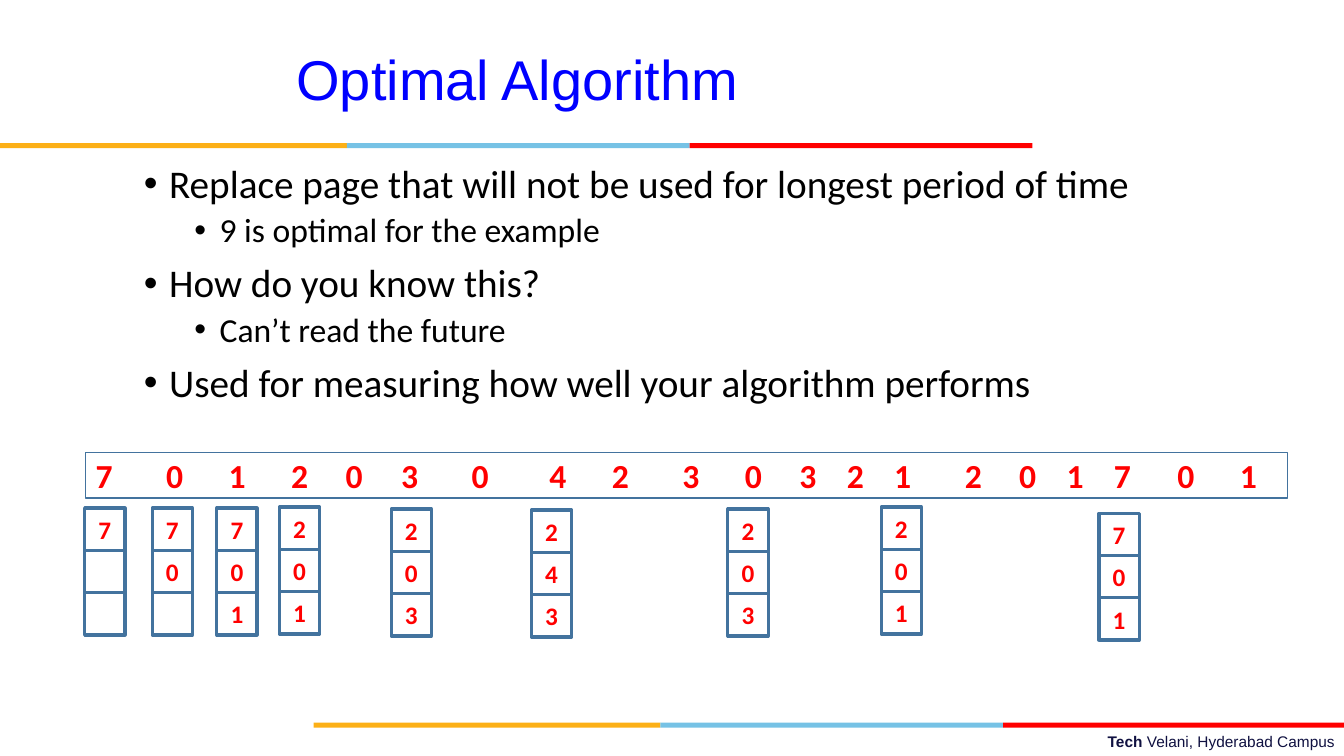
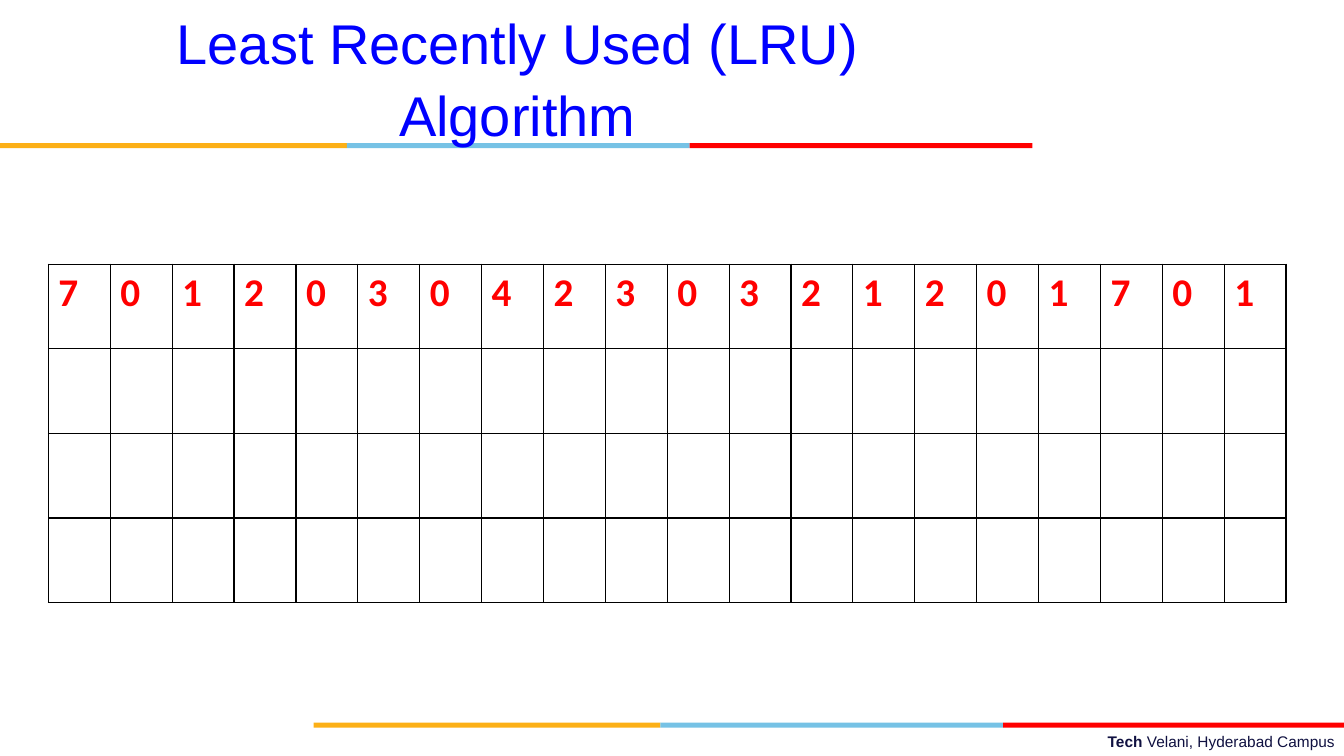
from dataclasses import dataclass

from lxml import etree
from pptx import Presentation
from pptx.dml.color import RGBColor
from pptx.enum.shapes import MSO_SHAPE
from pptx.enum.text import MSO_ANCHOR, PP_ALIGN
from pptx.oxml.ns import qn
from pptx.util import Inches, Pt

RECTANGLE = MSO_SHAPE.RECTANGLE
LEFT, CENTER, RIGHT = PP_ALIGN.LEFT, PP_ALIGN.CENTER, PP_ALIGN.RIGHT
TOP, MIDDLE = MSO_ANCHOR.TOP, MSO_ANCHOR.MIDDLE


@dataclass(frozen=True)
class Theme:
    """Colours, fonts and type sizes shared by the slides."""
    gold: str = "FCB017"
    sky: str = "76C2E5"
    red: str = "FF0000"
    title: str = "0000FF"
    footer: str = "101141"
    text: str = "000000"
    outline: str = "43739E"
    heading_font: str = "Arial"
    body_font: str = "Calibri"
    title_size: int = 40
    bullet_size: int = 28
    sub_bullet_size: int = 24
    reference_size: int = 24
    frame_size: int = 18
    table_size: int = 28
    footer_size: int = 11


THEME = Theme()
TITLE_BOX = (0.48, 0.03, 9.3, 1.45)
FOOTER_BOX = (4.78, 7.21, 8.56, 0.29)
BAND_WIDTHS = (3.44, 3.4, 3.4)
BAND_HEIGHT = 0.05
BAND_ORIGINS = ((0, 1.42), (3.11, 7.17))

PAGES = "70120304230321201701"
PAGE_STOPS = (0.7, 1.32, 1.94, 2.48, 3.03, 3.73, 4.5, 5.12, 5.82, 6.44,
              6.98, 7.45, 7.92, 8.62, 9.16, 9.63, 10.1, 10.73, 11.35)
BULLETS = (
    (0, "Replace page that will not be used for longest period of time"),
    (1, "9 is optimal for the example"),
    (0, "How do you know this?"),
    (1, "Can’t read the future"),
    (0, "Used for measuring how well your algorithm performs"),
)
FRAME_STATES = (
    (0.84, 5.04, ("7", "", "")),
    (1.51, 5.04, ("7", "0", "")),
    (2.15, 5.04, ("7", "0", "1")),
    (2.77, 5.03, ("2", "0", "1")),
    (3.88, 5.05, ("2", "0", "3")),
    (5.27, 5.06, ("2", "4", "3")),
    (7.22, 5.05, ("2", "0", "3")),
    (8.74, 5.03, ("2", "0", "1")),
    (10.9, 5.09, ("7", "0", "1")),
)
FRAME_WIDTH, FRAME_HEIGHT = 0.4, 0.42


def inches(box):
    """Turn a box of numbers into lengths."""
    return [Inches(value) for value in box]


def style(paragraph, size, color, font=THEME.body_font, bold=False, align=LEFT):
    """Format a paragraph and all its runs."""
    paragraph.alignment = align
    for run in paragraph.runs:
        run.font.size = Pt(size)
        run.font.name = font
        run.font.bold = bold
        run.font.color.rgb = RGBColor.from_string(color)


def add_text_frame(slide, box, anchor=TOP):
    """Add a wrapping text box and return its text frame."""
    frame = slide.shapes.add_textbox(*inches(box)).text_frame
    frame.word_wrap = True
    frame.vertical_anchor = anchor
    return frame


def add_rectangle(shapes, box, fill=None, line_width=None):
    """Add a plain rectangle, filled or outlined."""
    rectangle = shapes.add_shape(RECTANGLE, *inches(box))
    rectangle.shadow.inherit = False
    if fill:
        rectangle.fill.solid()
        rectangle.fill.fore_color.rgb = RGBColor.from_string(fill)
    else:
        rectangle.fill.background()
    if line_width:
        rectangle.line.color.rgb = RGBColor.from_string(THEME.outline)
        rectangle.line.width = Pt(line_width)
    else:
        rectangle.line.fill.background()
    return rectangle


def add_band(slide, left, top):
    """Draw the three-colour band from its left end."""
    for width, color in zip(BAND_WIDTHS, (THEME.gold, THEME.sky, THEME.red)):
        add_rectangle(slide.shapes, (left, top, width, BAND_HEIGHT), fill=color)
        left += width


def add_footer(slide, box):
    """Write the campus line, with its first word bold."""
    campus = add_text_frame(slide, box).paragraphs[0]
    for part in ("Tech ", "Velani, Hyderabad Campus"):
        campus.add_run().text = part
    style(campus, THEME.footer_size, THEME.footer, THEME.heading_font, align=RIGHT)
    campus.runs[0].font.bold = True


def add_title(slide, title, box):
    """Write the slide title centred in its box."""
    frame = add_text_frame(slide, box, MIDDLE)
    frame.text = title
    heading = frame.paragraphs[0]
    heading.line_spacing = 1.06
    style(heading, THEME.title_size, THEME.title, THEME.heading_font, align=CENTER)


def add_base_slide(deck, title):
    """Add a blank slide with the shared bands, footer and title."""
    slide = deck.slides.add_slide(deck.slide_layouts[6])
    for origin in BAND_ORIGINS:
        add_band(slide, *origin)
    add_footer(slide, FOOTER_BOX)
    add_title(slide, title, TITLE_BOX)
    return slide


def add_bullets(slide, bullets, box):
    """Write bullets on two levels."""
    frame = add_text_frame(slide, box)
    frame.text = "\n".join(wording for _, wording in bullets)
    for paragraph, (level, _) in zip(frame.paragraphs, bullets):
        paragraph.level = level
        paragraph.line_spacing = 0.9
        paragraph.space_before = Pt(5 if level else 10)
        size = THEME.sub_bullet_size if level else THEME.bullet_size
        style(paragraph, size, THEME.text)
        properties = paragraph._p.get_or_add_pPr()
        properties.set("marL", str(Inches(0.25 + 0.5 * level)))
        properties.set("indent", str(Inches(-0.25)))
        etree.SubElement(properties, qn("a:buFont"), typeface="Arial")
        etree.SubElement(properties, qn("a:buChar"), char="•")


def add_reference_strip(slide, box):
    """Draw the page reference string, spaced by tab stops."""
    strip = add_rectangle(slide.shapes, box, line_width=1)
    strip.text_frame.word_wrap = True
    strip.text_frame.text = "\t".join(PAGES)
    references = strip.text_frame.paragraphs[0]
    style(references, THEME.reference_size, THEME.red, bold=True)
    stops = etree.SubElement(references._p.get_or_add_pPr(), qn("a:tabLst"))
    for stop in PAGE_STOPS:
        etree.SubElement(stops, qn("a:tab"), pos=str(Inches(stop)), algn="l")


def add_frame_column(slide, left, top, pages):
    """Stack the memory frames that hold the given pages."""
    column = slide.shapes.add_group_shape().shapes
    for row, page in enumerate(pages):
        box = (left, top + row * FRAME_HEIGHT, FRAME_WIDTH, FRAME_HEIGHT)
        memory_frame = add_rectangle(column, box, line_width=2.25)
        if page:
            memory_frame.text_frame.text = page
            style(memory_frame.text_frame.paragraphs[0], THEME.frame_size,
                  THEME.red, bold=True, align=CENTER)


def add_borders(cell):
    """Give a table cell thin borders on all sides."""
    properties = cell._tc.get_or_add_tcPr()
    for position, side in enumerate(("a:lnL", "a:lnR", "a:lnT", "a:lnB")):
        border = etree.Element(qn(side), w=str(Pt(1)))
        fill = etree.SubElement(border, qn("a:solidFill"))
        etree.SubElement(fill, qn("a:srgbClr"), val=THEME.text)
        properties.insert(position, border)


def add_page_table(slide, box, frame_count):
    """Draw the references above empty rows for the frames."""
    rows, columns = frame_count + 1, len(PAGES)
    table = slide.shapes.add_table(rows, columns, *inches(box)).table
    table.first_row = table.horz_banding = False
    for cell in table.iter_cells():
        cell.fill.background()
        add_borders(cell)
    for column, page in enumerate(PAGES):
        cell = table.cell(0, column)
        cell.text = page
        style(cell.text_frame.paragraphs[0], THEME.table_size, THEME.red, bold=True)


def build_optimal_slide(deck):
    """Build the slide on the optimal algorithm."""
    slide = add_base_slide(deck, "Optimal Algorithm")
    add_bullets(slide, BULLETS, (1.33, 1.58, 12, 5.53))
    add_reference_strip(slide, (0.85, 4.49, 11.92, 0.45))
    for left, top, pages in FRAME_STATES:
        add_frame_column(slide, left, top, pages)


def build_lru_slide(deck):
    """Build the slide on the LRU algorithm."""
    slide = add_base_slide(deck, "Least Recently Used (LRU) Algorithm")
    add_page_table(slide, (0.48, 2.62, 12.28, 3.36), frame_count=3)


def main():
    """Build and save the deck."""
    deck = Presentation()
    deck.slide_width, deck.slide_height = Inches(13.33), Inches(7.5)
    build_optimal_slide(deck)
    build_lru_slide(deck)
    deck.save("out.pptx")


main()
